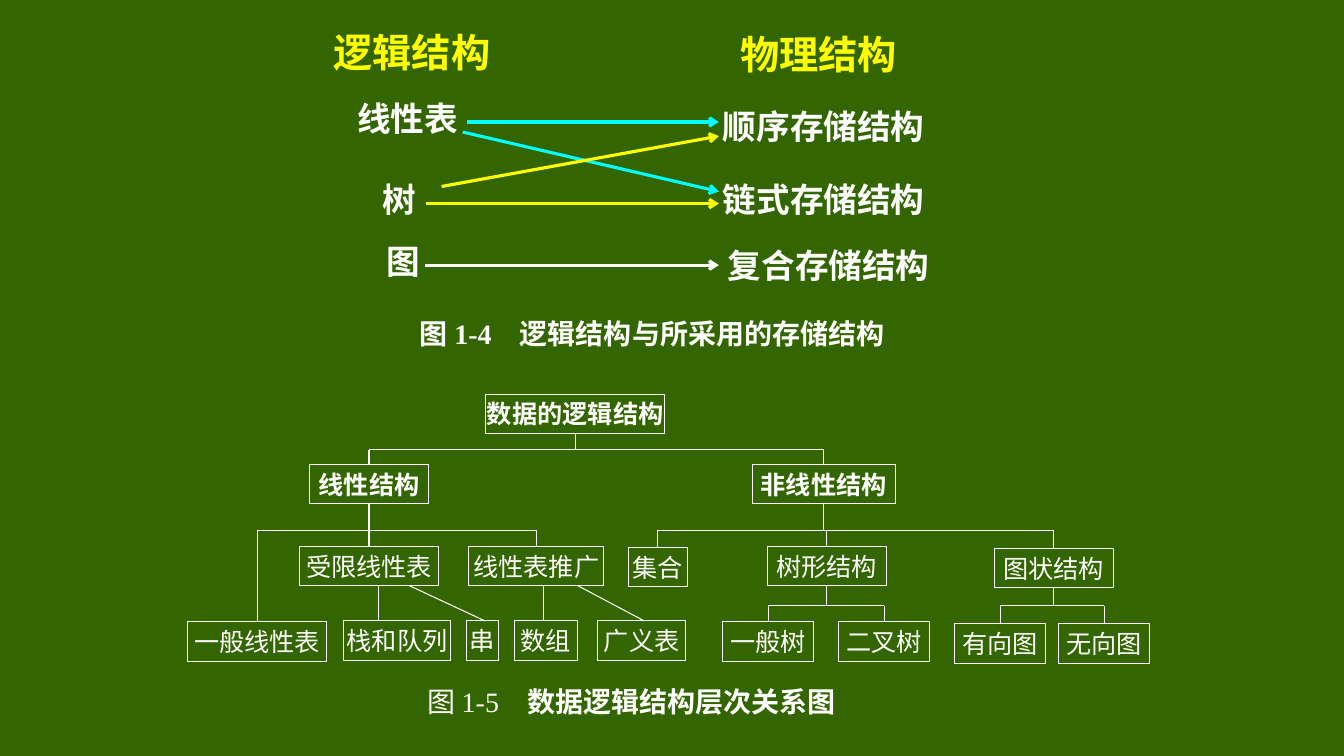
from lxml.etree import SubElement
from pptx import Presentation
from pptx.dml.color import RGBColor
from pptx.enum.shapes import MSO_CONNECTOR, MSO_SHAPE
from pptx.enum.text import MSO_ANCHOR, PP_ALIGN
from pptx.oxml.ns import qn
from pptx.util import Inches, Pt

COLORS = {"ground": "336600", "white": "FFFFFF", "yellow": "FFFF00", "cyan": "00FFFF"}
LATIN, HAN = "Times New Roman", "Noto Sans CJK SC"
CELL = 0.1


def grid(count):
    return Inches(count * CELL)


def tint(name):
    return RGBColor.from_string(COLORS[name])


class Board:
    def __init__(self, deck):
        self.slide = deck.slides.add_slide(deck.slide_layouts[6])
        fill = self.slide.background.fill
        fill.solid()
        fill.fore_color.rgb = tint("ground")

    def letter(self, shape, parts, size, color):
        frame = shape.text_frame
        frame.word_wrap = False
        frame.vertical_anchor = MSO_ANCHOR.MIDDLE
        frame.margin_left = frame.margin_right = 0
        frame.margin_top = frame.margin_bottom = 0
        para = frame.paragraphs[0]
        para.alignment = PP_ALIGN.CENTER
        font = para.font
        font.size, font.name = Pt(size), LATIN
        font.color.rgb = tint(color)
        SubElement(para._p.pPr.find(qn("a:defRPr")), qn("a:ea"), typeface=HAN)
        for text, bold in parts:
            run = para.add_run()
            run.text = text
            if len(parts) > 1:
                run.font.bold = bold
            else:
                font.bold = bold

    def label(self, area, parts, size, color="white"):
        shape = self.slide.shapes.add_textbox(*map(grid, area))
        self.letter(shape, parts, size, color)

    def node(self, text, left, top, width, bold=False):
        area = map(grid, (left, top, width, 3.9))
        shape = self.slide.shapes.add_shape(MSO_SHAPE.RECTANGLE, *area)
        shape.shadow.inherit = False
        shape.fill.background()
        shape.line.color.rgb = tint("white")
        shape.line.width = Pt(0.75)
        self.letter(shape, [(text, bold)], 18, "white")
        return left + width / 2, top, top + 3.9

    def line(self, start, end, color="white", width=0.75, arrow=False):
        ends = map(grid, (*start, *end))
        link = self.slide.shapes.add_connector(MSO_CONNECTOR.STRAIGHT, *ends)
        link.line.color.rgb = tint(color)
        link.line.width = Pt(width)
        shape = link._element.spPr
        if arrow:
            SubElement(shape.find(qn("a:ln")), qn("a:tailEnd"), type="arrow")
        SubElement(shape, qn("a:effectLst"))

    def fork(self, stem, kids, bar):
        mid, _, base = stem
        self.line((mid, base), (mid, bar))
        self.line((kids[0][0], bar), (kids[-1][0], bar))
        for kid, top, _ in kids:
            self.line((kid, bar), (kid, top))


deck = Presentation()
deck.slide_width, deck.slide_height = Inches(13.33), Inches(7.5)
board = Board(deck)

HEADS = [("逻辑结构", 32.5, 2.6, 16.7), ("物理结构", 73.3, 2.8, 15.8)]
for text, left, top, width in HEADS:
    board.label((left, top, width, 5), [(text, True)], 28, "yellow")

TERMS = [
    ("线性表", 33.8, 9.6, 13.3, 4.2),
    ("树", 35.5, 17.6, 8.3, 4.2),
    ("图", 36.3, 23.8, 7.5, 4.2),
    ("顺序存储结构", 71.7, 10, 20, 5),
    ("链式存储结构", 71.7, 17.3, 20, 5),
    ("复合存储结构", 72.2, 23.8, 20, 5),
]
for text, *area in TERMS:
    board.label(area, [(text, True)], 24)

ARROWS = [
    ((46.3, 12.1), 12.1, "cyan"),
    ((45.9, 13.1), 19, "cyan"),
    ((43.8, 18.5), 13.5, "yellow"),
    ((42.3, 20.2), 20.2, "yellow"),
    ((42.2, 26.3), 26.3, "white"),
]
for start, row, color in ARROWS:
    board.line(start, (71.3, row), color, 2.25, True)

CAPTIONS = [
    ("图 1-4", True, "逻辑结构与所采用的存储结构", (39.7, 31, 50, 4.2)),
    ("图 1-5", False, "数据逻辑结构层次关系图", (39.6, 67.1, 46.1, 5)),
]
for mark, bold, title, area in CAPTIONS:
    board.label(area, [(mark + "\u3000", bold), (title, True)], 20)

NODES = [
    ("数据的逻辑结构", 48.2, 39.1, 17.7, True),
    ("线性结构", 30.7, 46.1, 11.8, True),
    ("非线性结构", 74.6, 46.1, 14.2, True),
    ("一般线性表", 18.6, 61.7, 13.8),
    ("受限线性表", 29.7, 54.2, 13.8),
    ("线性表推广", 46.5, 54.2, 13.4),
    ("集合", 62.3, 54.3, 5.9),
    ("树形结构", 76.1, 54.2, 11.8),
    ("图状结构", 98.6, 54.4, 11.8),
    ("栈和队列", 34.1, 61.6, 10.6),
    ("串", 46.3, 61.6, 3.1),
    ("数组", 51, 61.6, 6.3),
    ("广义表", 59.3, 61.6, 8.7),
    ("一般树", 71.7, 61.7, 9),
    ("二叉树", 83.2, 61.7, 9),
    ("有向图", 94.7, 61.9, 9),
    ("无向图", 105, 61.9, 9),
]
tree = {node[0]: board.node(*node) for node in NODES}

FORKS = [
    ("数据的逻辑结构", ["线性结构", "非线性结构"], 44.6),
    ("线性结构", ["一般线性表", "受限线性表", "线性表推广"], 52.6),
    ("非线性结构", ["集合", "树形结构", "图状结构"], 52.6),
    ("树形结构", ["一般树", "二叉树"], 60.1),
    ("图状结构", ["有向图", "无向图"], 60.1),
]
for stem, kids, bar in FORKS:
    board.fork(tree[stem], [tree[kid] for kid in kids], bar)

LINKS = [
    ("受限线性表", 37.5, "栈和队列", 37.5),
    ("受限线性表", 40.6, "串", 48.1),
    ("线性表推广", 53.9, "数组", 53.9),
    ("线性表推广", 57.3, "广义表", 63.9),
]
for stem, start, kid, end in LINKS:
    board.line((start, tree[stem][2]), (end, tree[kid][1]))

deck.save("out.pptx")
